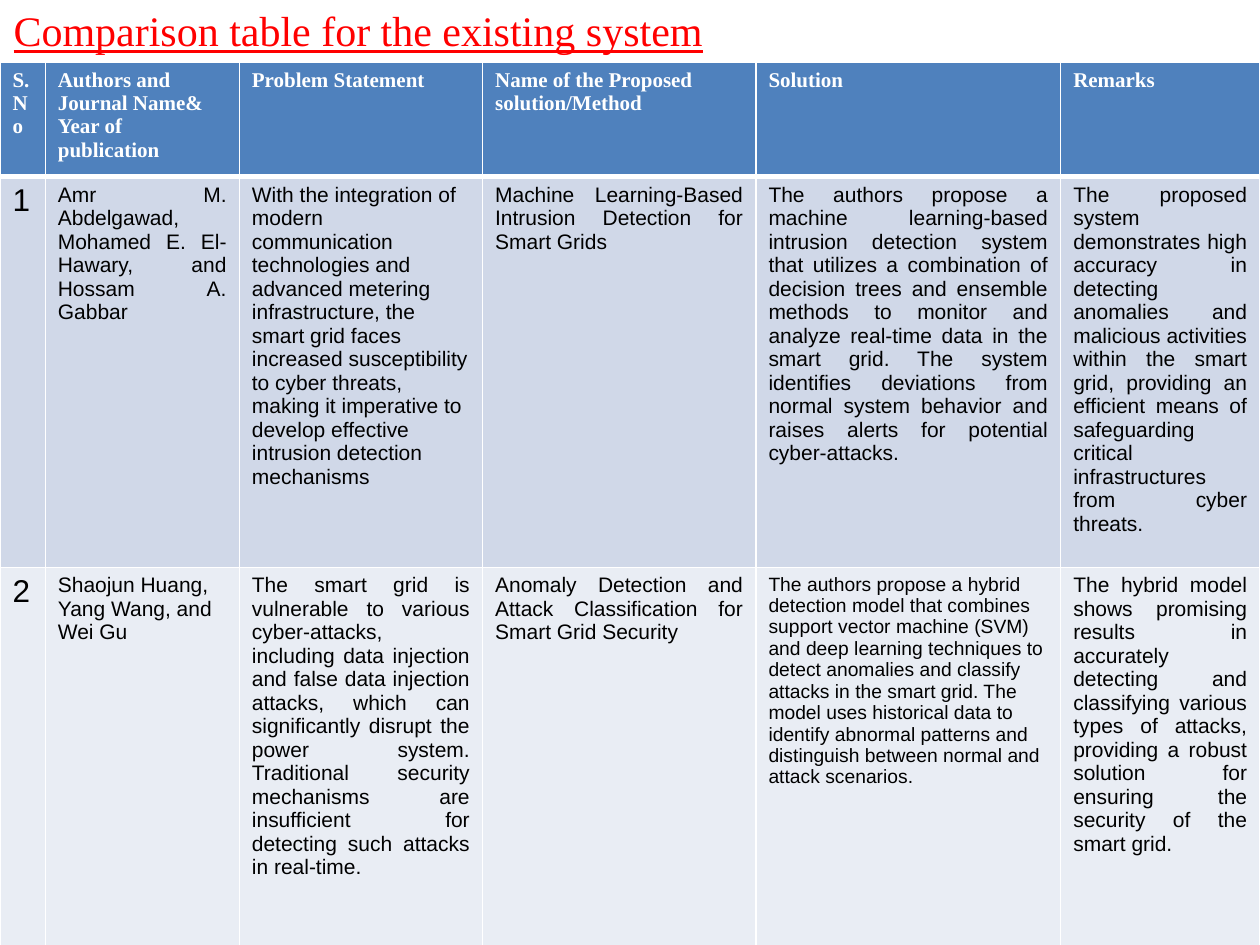
from lxml.etree import SubElement
from pptx import Presentation
from pptx.dml.color import RGBColor
from pptx.enum.text import MSO_AUTO_SIZE, PP_ALIGN
from pptx.oxml.ns import qn
from pptx.util import Pt

COLORS = {"title": "FF0000", "header": "4F81BD", "odd": "D0D8E8",
          "even": "E9EDF4", "white": "FFFFFF", "text": "000000"}
COLS = [25.9, 110.9, 139, 156.2, 174.2, 113.8]
ROWS = [65.5, 223, 227]
HEADERS = ["S.No", "Authors and Journal Name& Year of publication",
           "Problem Statement", "Name of the Proposed solution/Method",
           "Solution", "Remarks"]
STUDIES = [
    ["1",
     "Amr M. Abdelgawad, Mohamed E. El-Hawary, and Hossam A. Gabbar",
     "With the integration of modern communication technologies and advanced "
     "metering infrastructure, the smart grid faces increased susceptibility to "
     "cyber threats, making it imperative to develop effective intrusion "
     "detection mechanisms",
     "Machine Learning-Based Intrusion Detection for Smart Grids",
     "The authors propose a machine learning-based intrusion detection system "
     "that utilizes a combination of decision trees and ensemble methods to "
     "monitor and analyze real-time data in the smart grid. The system "
     "identifies deviations from normal system behavior and raises alerts for "
     "potential cyber-attacks.",
     "The proposed system demonstrates high accuracy in detecting anomalies and "
     "malicious activities within the smart grid, providing an efficient means "
     "of safeguarding critical infrastructures from cyber threats."],
    ["2",
     "Shaojun Huang, Yang Wang, and Wei Gu",
     "The smart grid is vulnerable to various cyber-attacks, including data "
     "injection and false data injection attacks, which can significantly "
     "disrupt the power system. Traditional security mechanisms are insufficient "
     "for detecting such attacks in real-time.",
     "Anomaly Detection and Attack Classification for Smart Grid Security",
     "The authors propose a hybrid detection model that combines support vector "
     "machine (SVM) and deep learning techniques to detect anomalies and "
     "classify attacks in the smart grid. The model uses historical data to "
     "identify abnormal patterns and distinguish between normal and attack "
     "scenarios.",
     "The hybrid model shows promising results in accurately detecting and "
     "classifying various types of attacks, providing a robust solution for "
     "ensuring the security of the smart grid."],
]
HEADER_STYLE = {"font": "Times New Roman", "color": "white", "bold": True}
NUMBER_STYLE = {"size": 18}
JUSTIFIED = {"align": PP_ALIGN.JUSTIFY}
STUDY_STYLES = [
    [NUMBER_STYLE, JUSTIFIED, {}, JUSTIFIED, JUSTIFIED, JUSTIFIED],
    [NUMBER_STYLE, {}, JUSTIFIED, JUSTIFIED, {"size": 11}, JUSTIFIED],
]


def write(tf, text, size=12, font="Arial", color="text", bold=False,
          underline=False, align=PP_ALIGN.LEFT):
    """Write one formatted paragraph into a text frame."""
    tf.word_wrap = True
    p = tf.paragraphs[0]
    p.alignment = align
    r = p.add_run()
    r.text = text
    r.font.size = Pt(size)
    r.font.name = font
    r.font.bold = bold
    r.font.underline = underline
    r.font.color.rgb = RGBColor.from_string(COLORS[color])


class Deck:
    """Hold the slide and its style, and add each kind of element."""

    def __init__(self, width, height):
        """Start a presentation with one blank slide."""
        self.prs = Presentation()
        self.prs.slide_width, self.prs.slide_height = Pt(width), Pt(height)
        self.s = self.prs.slides.add_slide(self.prs.slide_layouts[6])

    def text(self, left, top, width, height, text, **fmt):
        """Add a text box that grows with its text."""
        sp = self.s.shapes.add_textbox(Pt(left), Pt(top), Pt(width), Pt(height))
        sp.text_frame.auto_size = MSO_AUTO_SIZE.SHAPE_TO_FIT_TEXT
        write(sp.text_frame, text, **fmt)

    def borders(self, cell, **widths):
        """Draw white cell borders, then keep the fill after them."""
        pr = cell._tc.get_or_add_tcPr()
        for side, width in widths.items():
            ln = SubElement(pr, qn(f"a:ln{side}"), w=str(Pt(width)))
            fill = SubElement(ln, qn("a:solidFill"))
            SubElement(fill, qn("a:srgbClr"), val=COLORS["white"])

    def table(self, left, top, cols, rows, texts, styles, fills):
        """Add a table with one fill per row and one style per cell."""
        tbl = self.s.shapes.add_table(len(rows), len(cols), Pt(left), Pt(top),
                                      Pt(sum(cols)), Pt(sum(rows))).table
        for col, width in zip(tbl.columns, cols):
            col.width = Pt(width)
        for i, height in enumerate(rows):
            tbl.rows[i].height = Pt(height)
            for j, text in enumerate(texts[i]):
                cell = tbl.cell(i, j)
                self.borders(cell, L=1, R=1, T=3 if i == 1 else 1,
                             B=3 if i == 0 else 1)
                cell.fill.solid()
                cell.fill.fore_color.rgb = RGBColor.from_string(COLORS[fills[i]])
                write(cell.text_frame, text, **styles[i][j])


def main():
    """Build the comparison slide and save it."""
    deck = Deck(720, 540)
    deck.text(0.7, -0.7, 707.8, 36, "Comparison table for the existing system",
              size=24, font="Times New Roman", color="title", underline=True)
    deck.table(0, 35.5, COLS, ROWS, [HEADERS, *STUDIES],
               [[HEADER_STYLE] * len(COLS), *STUDY_STYLES],
               ["header", "odd", "even"])
    deck.prs.save("out.pptx")


if __name__ == "__main__":
    main()
